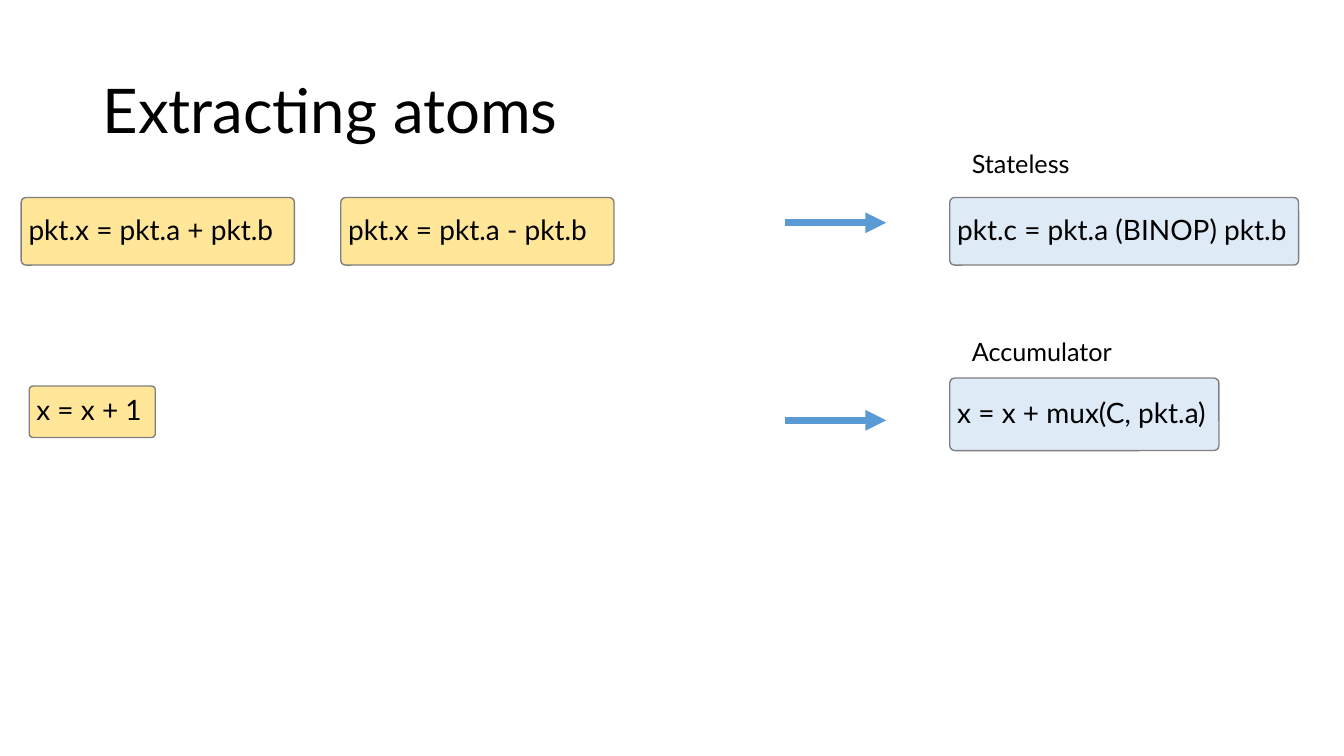
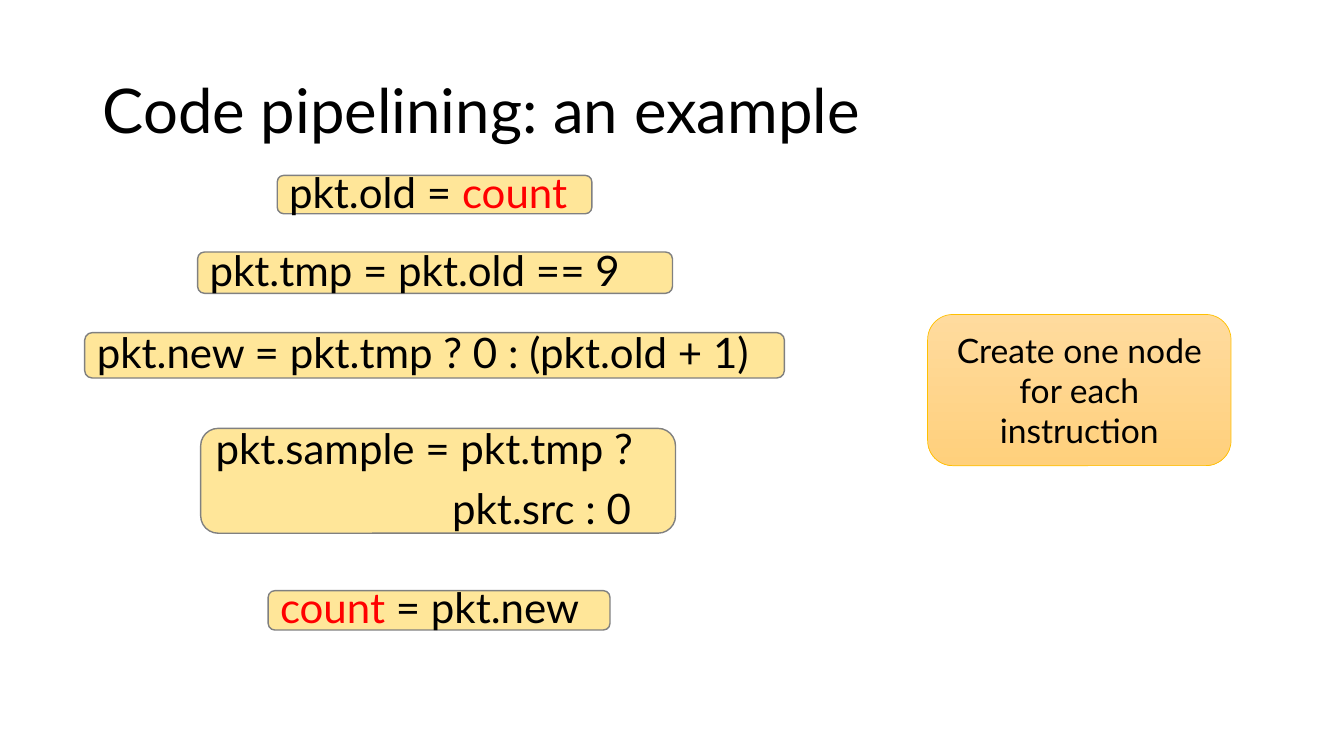
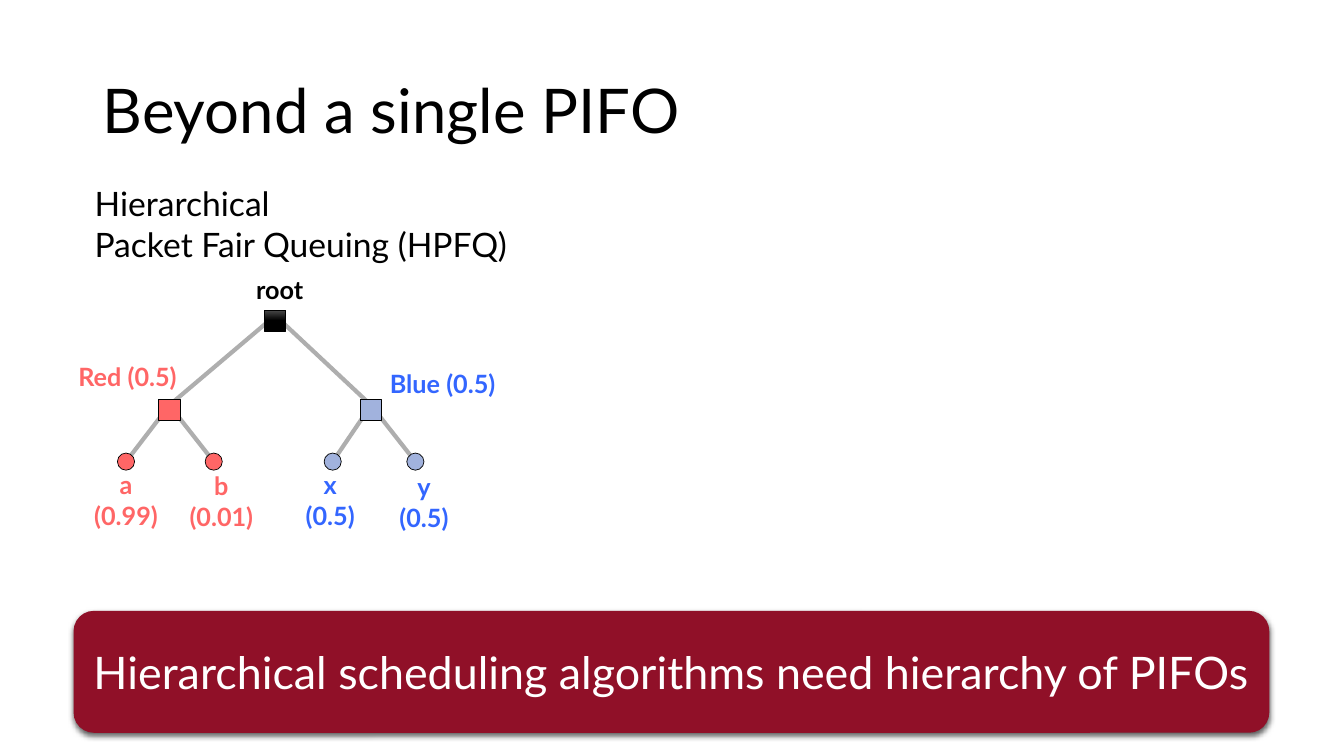
from lxml.etree import SubElement
from pptx import Presentation
from pptx.dml.color import RGBColor
from pptx.enum.shapes import MSO_CONNECTOR, MSO_SHAPE
from pptx.enum.text import MSO_ANCHOR, PP_ALIGN
from pptx.oxml.ns import qn
from pptx.util import Inches, Pt

FONT = "Lato"
BLACK, WHITE, CODE_RED = "000000", "FFFFFF", "FF0000"
YELLOW, PALE_BLUE, ARROW_BLUE = "FFE699", "DEEBF7", "5B9BD5"
BOX_LINE, EDGE_GRAY, BANNER_RED = "808080", "AEAEAE", "901028"
RED, BLUE, BLUE_NODE = "FF6666", "3366FF", "A1B2DD"
TITLE_AREA = (0.92, 0.4, 11.5, 1.45)

# Slide 1: text, fill, (left, top, width, height)
ATOMS_TITLE = "Extracting atoms"
ATOM_COLUMN = 9.42
ATOM_BOXES = [
    ("pkt.x = pkt.a + pkt.b", YELLOW, (0.21, 1.96, 2.71, 0.67)),
    ("pkt.x = pkt.a - pkt.b", YELLOW, (3.38, 1.96, 2.71, 0.67)),
    ("pkt.c = pkt.a (BINOP) pkt.b", PALE_BLUE, (ATOM_COLUMN, 1.96, 3.46, 0.67)),
    ("x = x + 1", YELLOW, (0.29, 3.83, 1.25, 0.51)),
    ("x = x + mux(C, pkt.a)", PALE_BLUE, (ATOM_COLUMN, 3.75, 2.67, 0.72)),
]
ATOM_NAMES = [("Stateless", 1.42, 1.17), ("Accumulator", 3.29, 1.61)]
ARROW_START, ARROW_END, ARROW_ROWS = 7.79, 8.79, (2.21, 4.17)

# Slide 2: lines of (text, colour) runs, (left, top, width, height)
PIPELINE_TITLE = "Code pipelining: an example"
INSTRUCTIONS = [
    ([[("pkt.old = ", BLACK), ("count", CODE_RED)]], (2.75, 1.74, 3.12, 0.38)),
    (["pkt.tmp = pkt.old == 9"], (1.96, 2.5, 4.71, 0.41)),
    (["pkt.new = pkt.tmp ? 0 : (pkt.old + 1)"], (0.84, 3.3, 6.94, 0.45)),
    (["pkt.sample = pkt.tmp ?", "                      pkt.src : 0"],
     (1.99, 4.25, 4.71, 1.04)),
    ([[("count", CODE_RED), (" = pkt.new", BLACK)]], (2.66, 5.86, 3.39, 0.39)),
]
CALLOUT = "Create one node for each instruction"

# Slide 3: the tree
TREE_TITLE = "Beyond a single PIFO"
TREE_HEADING = ["Hierarchical", "Packet Fair Queuing (HPFQ)"]
BANNER = "Hierarchical scheduling algorithms need hierarchy of PIFOs"
INNER_SIZE, LEAF_SIZE = 0.21, 0.17
EDGE_LIFT = 0.05  # edges meet inner nodes a little above the centre
# name: parent, centre, fill, label lines, label colour, label area
NODES = {
    "root": (None, (2.73, 3.18), None, ["root"], BLACK, (2.42, 2.67, 0.71, 0.4)),
    "red": ("root", (1.68, 4.07), RED, ["Red (0.5)"], RED, (0.63, 3.54, 1.27, 0.4)),
    "blue": ("root", (3.68, 4.07), BLUE_NODE, ["Blue (0.5)"], BLUE,
             (3.72, 3.6, 1.34, 0.4)),
    "a": ("red", (1.25, 4.58), RED, ["a", "(0.99)"], RED, (0.8, 4.61, 0.9, 0.71)),
    "b": ("red", (2.12, 4.58), RED, ["b", "(0.01)"], RED, (1.75, 4.62, 0.89, 0.71)),
    "x": ("blue", (3.3, 4.58), BLUE_NODE, ["x", "(0.5)"], BLUE,
          (2.9, 4.61, 0.75, 0.71)),
    "y": ("blue", (4.12, 4.58), BLUE_NODE, ["y", "(0.5)"], BLUE,
          (3.83, 4.63, 0.75, 0.71)),
}
PARENTS = {node[0] for node in NODES.values()}


def rgb(value):
    return RGBColor.from_string(value)


def inches(area):
    return [Inches(length) for length in area]


def write(frame, lines, size, color=BLACK, bold=False, align=PP_ALIGN.LEFT,
          spacing=None, after=None):
    """Each line is a string or a list of (text, colour) runs."""
    for index, line in enumerate(lines):
        paragraph = frame.paragraphs[0] if index == 0 else frame.add_paragraph()
        paragraph.alignment = align
        paragraph.line_spacing = spacing
        if after:
            paragraph.space_after = Pt(after)
        for text, run_color in [(line, color)] if isinstance(line, str) else line:
            run = paragraph.add_run()
            run.text = text
            run.font.name = FONT
            run.font.size = Pt(size)
            run.font.bold = bold
            run.font.color.rgb = rgb(run_color)


def add_text(slide, area, lines, size, wrap=False, anchor=MSO_ANCHOR.TOP, **style):
    frame = slide.shapes.add_textbox(*inches(area)).text_frame
    frame.word_wrap = wrap
    frame.vertical_anchor = anchor
    write(frame, lines, size, **style)


def add_box(slide, kind, area, fill, line=None, line_width=1.0):
    """Fill is a colour, or a list of (position, colour) for top and bottom."""
    shape = slide.shapes.add_shape(kind, *inches(area))
    shape.shadow.inherit = False
    if isinstance(fill, str):
        shape.fill.solid()
        shape.fill.fore_color.rgb = rgb(fill)
    else:
        shape.fill.gradient()
        shape.fill.gradient_angle = 270
        for stop, (position, color) in zip(shape.fill.gradient_stops, fill):
            stop.position = position
            stop.color.rgb = rgb(color)
    if line:
        shape.line.color.rgb = rgb(line)
        shape.line.width = Pt(line_width)
    else:
        shape.line.fill.background()
    return shape


def add_code_box(slide, area, lines, size, fill):
    shape = add_box(slide, MSO_SHAPE.ROUNDED_RECTANGLE, area, fill, BOX_LINE)
    write(shape.text_frame, lines, size, spacing=0.9, after=0.35 * size)
    return shape


def add_line(slide, start, end, color, width, arrow=False):
    line = slide.shapes.add_connector(MSO_CONNECTOR.STRAIGHT, *inches(start + end))
    line.line.color.rgb = rgb(color)
    line.line.width = Pt(width)
    if arrow:
        SubElement(line.line._get_or_add_ln(), qn("a:tailEnd"), type="triangle")
    SubElement(line._element.spPr, qn("a:effectLst"))


def add_drop_shadow(shape):
    effects = shape._element.spPr.find(qn("a:effectLst"))
    shadow = SubElement(effects, qn("a:outerShdw"), blurRad=str(Pt(4.5)),
                        dist=str(Pt(1.5)), dir="5400000", rotWithShape="0")
    color = SubElement(shadow, qn("a:srgbClr"), val=BLACK)
    SubElement(color, qn("a:alpha"), val="63000")


def new_slide(presentation, title):
    slide = presentation.slides.add_slide(presentation.slide_layouts[6])
    add_text(slide, TITLE_AREA, [title], 44, wrap=True,
             anchor=MSO_ANCHOR.MIDDLE, spacing=0.9)
    return slide


def build_atoms(presentation):
    slide = new_slide(presentation, ATOMS_TITLE)
    for text, fill, area in ATOM_BOXES:
        shape = add_code_box(slide, area, [text], 20, fill)
        shape.adjustments[0] = 0.07
        frame = shape.text_frame
        frame.margin_left = frame.margin_right = Inches(0.06)
        frame.margin_top = frame.margin_bottom = Inches(0.06)
    for row in ARROW_ROWS:
        add_line(slide, (ARROW_START, row), (ARROW_END, row), ARROW_BLUE, 5, arrow=True)
    for name, top, width in ATOM_NAMES:
        add_text(slide, (ATOM_COLUMN + 0.12, top, width, 0.4), [name], 18)


def build_pipeline(presentation):
    slide = new_slide(presentation, PIPELINE_TITLE)
    callout = add_box(slide, MSO_SHAPE.ROUNDED_RECTANGLE, (9.2, 3.12, 3.01, 1.5),
                      [(0, "FFDB9E"), (1, "FFD07C")], "FFC000", 0.5)
    write(callout.text_frame, [CALLOUT], 24, align=PP_ALIGN.CENTER)
    for lines, area in INSTRUCTIONS:
        add_code_box(slide, area, lines, 30, YELLOW)


def edge_end(name):
    x, y = NODES[name][1]
    return (x, y - EDGE_LIFT) if name in PARENTS else (x, y)


def build_tree(presentation):
    slide = new_slide(presentation, TREE_TITLE)
    banner = add_box(slide, MSO_SHAPE.ROUNDED_RECTANGLE,
                     (0.73, 6.06, 11.86, 1.21), BANNER_RED)
    add_drop_shadow(banner)
    write(banner.text_frame, [BANNER], 32, WHITE, align=PP_ALIGN.CENTER)
    for name, (parent, *_) in NODES.items():
        if parent:
            add_line(slide, edge_end(parent), edge_end(name), EDGE_GRAY, 3)
    for _, _, _, label, color, area in NODES.values():
        add_text(slide, area, label, 18, color=color, bold=True, align=PP_ALIGN.CENTER)
    for name, (_, (x, y), fill, *_) in NODES.items():
        inner = name in PARENTS
        size = INNER_SIZE if inner else LEAF_SIZE
        add_box(slide, MSO_SHAPE.RECTANGLE if inner else MSO_SHAPE.OVAL,
                (x - size / 2, y - size / 2, size, size),
                fill or [(0, "4B4B4B"), (0.5, BLACK)], BLACK, 0.5)
    add_text(slide, (0.84, 1.77, 4.88, 0.91), TREE_HEADING, 24, wrap=True)


def main():
    presentation = Presentation()
    presentation.slide_width = Inches(13.33)
    presentation.slide_height = Inches(7.5)
    build_atoms(presentation)
    build_pipeline(presentation)
    build_tree(presentation)
    presentation.save("out.pptx")


if __name__ == "__main__":
    main()
